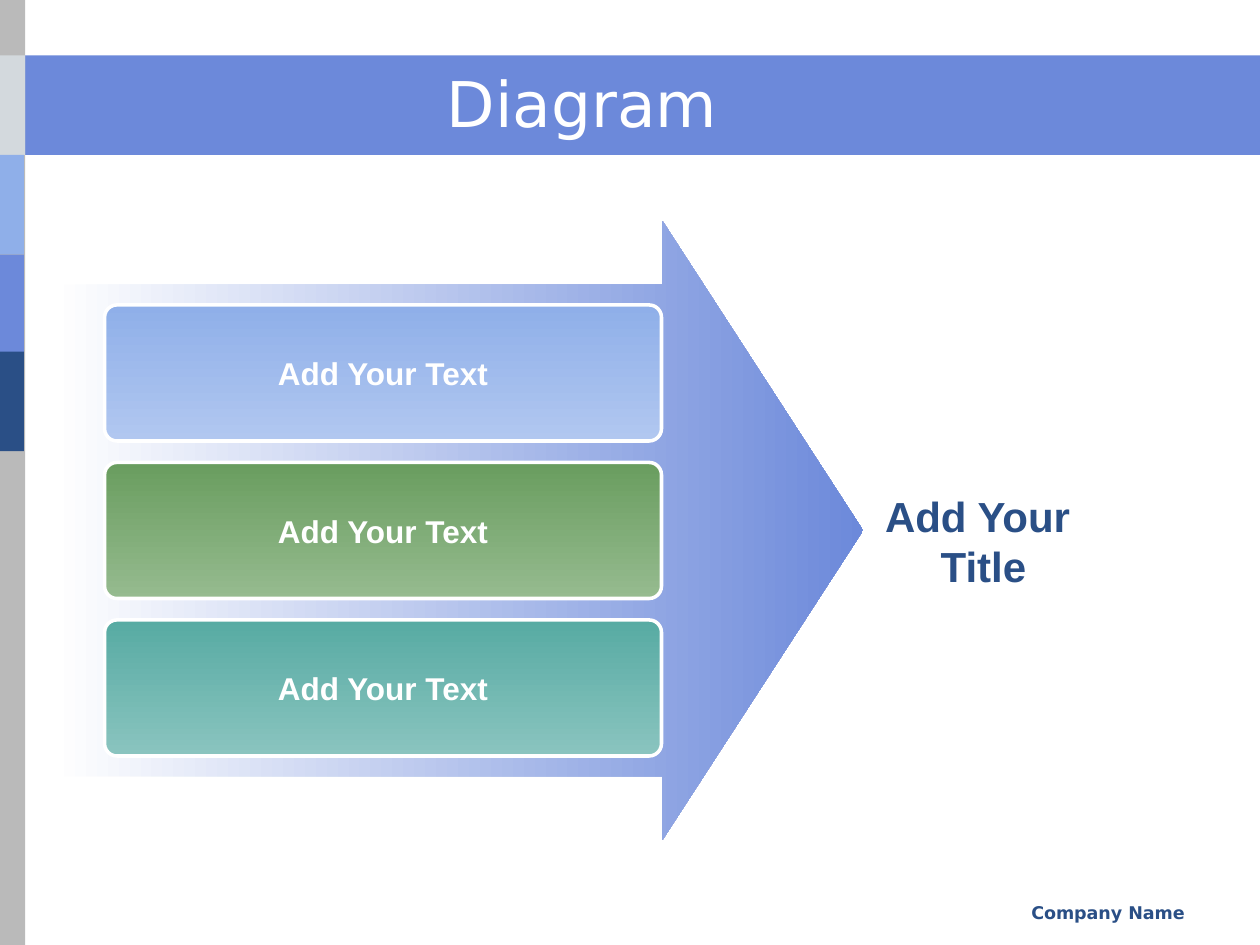
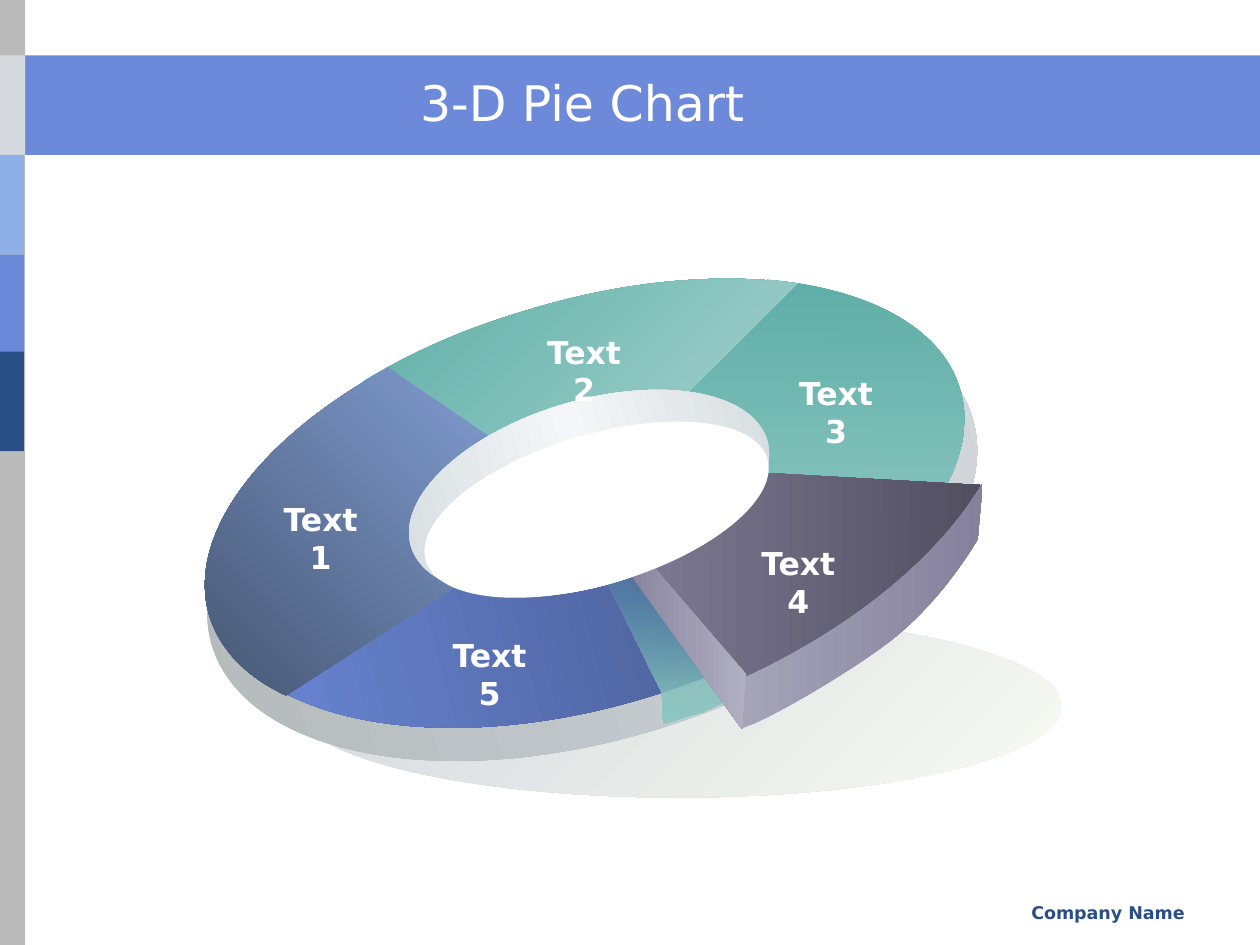
import math
from lxml import etree
from pptx import Presentation, util as u
from pptx.dml.color import RGBColor
from pptx.enum import shapes, text
from pptx.oxml.ns import qn

SANS, ARIAL = "DejaVu Sans", "Arial"
WHITE, NAVY, BLUE, SKY = "FFFFFF", "2A4F86", "6C89DA", "8FAFE9"
SILVER, TEAL, MAUVE = "D3D9DD", "57ABA3", "85819D"
KIND = shapes.MSO_SHAPE
CENTER, RIGHT = text.PP_ALIGN.CENTER, text.PP_ALIGN.RIGHT
MIDDLE, TOP = text.MSO_ANCHOR.MIDDLE, text.MSO_ANCHOR.TOP

BANDS = [
    ((0, 0.44, 10, 0.79), BLUE),
    ((-0.01, 0, 0.21, 7.5), "BABABA"),
    ((0, 0.44, 0.2, 0.79), SILVER),
    ((-0.01, 1.23, 0.2, 0.79), SKY),
    ((-0.01, 2.02, 0.2, 0.79), BLUE),
    ((-0.01, 2.79, 0.2, 0.79), NAVY),
]
FOOTER = "Company Name"

STEPS = [
    ("Add Your Text", SKY, "B1C7F0"),
    ("Add Your Text", "699D5F", "96BB8F"),
    ("Add Your Text", TEAL, "8AC4BF"),
]
GOAL = ["Add Your ", "Title"]

TILT = 343.4
RING_BASE = [
    ((2.34, 4.88, 6.08, 1.45), 0, [SILVER, "F7F9F2"], 45),
    ((1.55, 2.57, 6.3, 3.3), TILT, ["B3B8BB", SILVER], 0),
    ((1.61, 2.4, 6.08, 3.2), TILT, ["2791BB", "000000"], 62),
]
WEDGES = [
    ((4.51, 2.27, 3.12, 2.15), TILT, [TEAL, "94CAC5"], 107,
     [(6.09, 2.22), (6.91, 2.29, 7.48, 2.61, 7.62, 3.09),
      (7.71, 3.39, 7.62, 3.73, 7.37, 4.08), (4.63, 3.98)]),
    ((1.87, 4.32, 3.59, 1.61), TILT, ["4B6098", BLUE], 182,
     [(1.77, 5.05), (2.18, 5.78, 3.62, 5.99, 5.12, 5.54),
      (5.29, 5.49, 5.45, 5.43, 5.61, 5.37), (4.66, 3.99)]),
    ((2.98, 2.32, 3.53, 1.55), TILT, [TEAL, "B8DBD8"], 62,
     [(2.88, 3.03), (3.27, 2.79, 3.71, 2.6, 4.19, 2.46),
      (4.94, 2.23, 5.7, 2.16, 6.33, 2.25), (4.63, 3.94)]),
    ((1.5, 2.97, 3.12, 2.26), TILT, [SKY, "42516C"], 152,
     [(3.08, 2.92), (2.04, 3.49, 1.48, 4.26, 1.66, 4.88),
      (1.74, 5.15, 1.95, 5.37, 2.27, 5.52), (4.65, 3.99)]),
]
INNER_WALL = ((3.2, 3.18, 2.95, 1.47), TILT, [SILVER, "F4F6F7", SILVER], 0)
PULLED_SLICE = [
    ((4.81, 4.57, 0.94, 1.18), 0, [(TEAL, 19), "8FC7C2"], 90,
     [(4.81, 4.6), (5.25, 5.49), (5.26, 5.75), (5.58, 5.65), (5.75, 5.57), (5, 4.57)]),
    ((5.86, 3.84, 1.94, 1.94), 0, ["A6A4B8", MAUVE], 0,
     [(5.89, 5.38), (7.8, 3.84), (7.76, 4.28), (7.64, 4.48, 7.41, 4.81, 7.1, 5.06),
      (6.79, 5.31, 6.09, 5.72, 5.89, 5.78), (5.86, 5.64, 5.89, 5.38, 5.89, 5.38)]),
    ((4.83, 3.17, 2.98, 2.03), 342.3, [MAUVE, "4D4A5B"], 18,
     [(7.78, 3.85), (7.41, 4.46, 6.69, 5.03, 5.8, 5.42), (4.6, 3.67)]),
    ((4.91, 4.36, 1.01, 1.43), 0, [MAUVE, "B1AFC1"], 0,
     [(5.92, 5.35), (5.89, 5.79), (4.91, 4.43), (5.07, 4.36)]),
]
HOLE = ((3.32, 3.45, 2.83, 1.19), TILT, WHITE, 0)
LABELS = [
    ("Text1", 2.1, 3.92),
    ("Text2", 4.19, 2.59),
    ("Text3", 6.19, 2.92),
    ("Text5", 3.44, 5),
    ("Text4", 5.89, 4.27),
]


def inches(value):
    return u.Cm(value * 2.54)


def color(value):
    return RGBColor.from_string(value)


def paint(shape, fill, angle=0):
    shape.shadow.inherit = False
    shape.line.fill.background()
    if fill is None:
        shape.fill.background()
    elif isinstance(fill, str):
        shape.fill.solid()
        shape.fill.fore_color.rgb = color(fill)
    else:
        shape.fill.gradient()
        shape.fill.gradient_angle = -angle % 360
        stops = shape._element.spPr.find(qn("a:gradFill")).find(qn("a:gsLst"))
        for stop in list(stops):
            stops.remove(stop)
        for index, entry in enumerate(fill):
            value, opacity = (entry, 100) if isinstance(entry, str) else entry
            place = index * 100000 // (len(fill) - 1)
            stop = etree.SubElement(stops, qn("a:gs"), pos=str(place))
            shade = etree.SubElement(stop, qn("a:srgbClr"), val=value)
            if opacity < 100:
                etree.SubElement(shade, qn("a:alpha"), val=str(opacity * 1000))


def add_preset(page, kind, at, fill, angle=0, turn=0, adjust=()):
    shape = page.shapes.add_shape(kind, *map(inches, at))
    for index, value in enumerate(adjust):
        shape.adjustments[index] = value
    shape.rotation = turn
    paint(shape, fill, angle)
    return shape


def add_ellipse(page, at, turn, fill, angle):
    add_preset(page, KIND.OVAL, at, fill, angle, turn)


def to_local(x, y, at, turn):
    left, top, width, height = at
    across, down = x - left - width / 2, y - top - height / 2
    cos, sin = math.cos(math.radians(turn)), math.sin(math.radians(turn))
    return across * cos + down * sin + width / 2, down * cos - across * sin + height / 2


def add_outline(page, at, turn, fill, angle, nodes):
    left, top, width, height = at
    builder = page.shapes.build_freeform(inches(left), inches(top), scale=1.0)
    builder.add_line_segments([(inches(left + width), inches(top + height))], close=False)
    shape = builder.convert_to_shape()
    outline = next(shape._element.spPr.iter(qn("a:path")))
    for child in list(outline):
        outline.remove(child)
    for index, node in enumerate(nodes):
        tag = "a:moveTo" if index == 0 else "a:lnTo" if len(node) == 2 else "a:cubicBezTo"
        step = etree.SubElement(outline, qn(tag))
        for x, y in zip(node[::2], node[1::2]):
            across, down = to_local(x, y, at, turn)
            etree.SubElement(step, qn("a:pt"), x=str(inches(across)), y=str(inches(down)))
    etree.SubElement(outline, qn("a:close"))
    shape.rotation = turn
    paint(shape, fill, angle)


def write(box, lines, size, font, ink, bold=True, align=CENTER, anchor=MIDDLE, wrap=True):
    frame = box.text_frame
    frame.word_wrap = wrap
    frame.vertical_anchor = anchor
    for index, line in enumerate(lines):
        para = frame.paragraphs[0] if index == 0 else frame.add_paragraph()
        para.alignment = align
        span = para.add_run()
        span.text = line
        span.font.size = u.Pt(size)
        span.font.name = font
        span.font.bold = bold
        span.font.color.rgb = color(ink)


def add_text(page, at, line, size, ink, **style):
    box = page.shapes.add_textbox(*map(inches, at))
    write(box, [line], size, SANS, ink, **style)


def add_page(deck, title, size):
    page = deck.slides.add_slide(deck.slide_layouts[6])
    for at, fill in BANDS:
        add_preset(page, KIND.RECTANGLE, at, fill)
    add_text(page, (6.33, 7.11, 3.17, 0.25), FOOTER, 10, NAVY, align=RIGHT, anchor=TOP)
    add_text(page, (0.58, 0.5, 8.08, 0.62), title, size, WHITE, bold=False)
    return page


def build_diagram(deck):
    page = add_page(deck, "Diagram", 36)
    add_preset(page, KIND.RIGHT_ARROW, (0.42, 1.75, 6.43, 4.92),
               [WHITE, BLUE], adjust=(0.793, 0.324))
    for row, (label, *fill) in enumerate(STEPS):
        box = add_preset(page, KIND.ROUNDED_RECTANGLE, (0.83, 2.42 + 1.25 * row, 4.42, 1.08),
                         fill, 90, adjust=(0.091,))
        box.line.color.rgb = color(WHITE)
        box.line.width = u.Pt(2)
        write(box, [label], 18, ARIAL, WHITE, wrap=False)
    goal = add_preset(page, KIND.ROUNDED_RECTANGLE, (6.43, 3.58, 2.75, 1.42),
                      None, adjust=(0.091,))
    write(goal, GOAL, 24, ARIAL, NAVY)


def build_ring(deck):
    page = add_page(deck, "3-D Pie Chart", 28)
    for ellipse in RING_BASE:
        add_ellipse(page, *ellipse)
    for wedge in WEDGES:
        add_outline(page, *wedge)
    add_ellipse(page, *INNER_WALL)
    for face in PULLED_SLICE:
        add_outline(page, *face)
    add_ellipse(page, *HOLE)
    for label, left, top in LABELS:
        add_text(page, (left, top, 0.89, 0.4), label, 18, WHITE, anchor=TOP)


def main():
    deck = Presentation()
    deck.slide_width, deck.slide_height = inches(10), inches(7.5)
    build_diagram(deck)
    build_ring(deck)
    deck.save("out.pptx")


if __name__ == "__main__":
    main()
